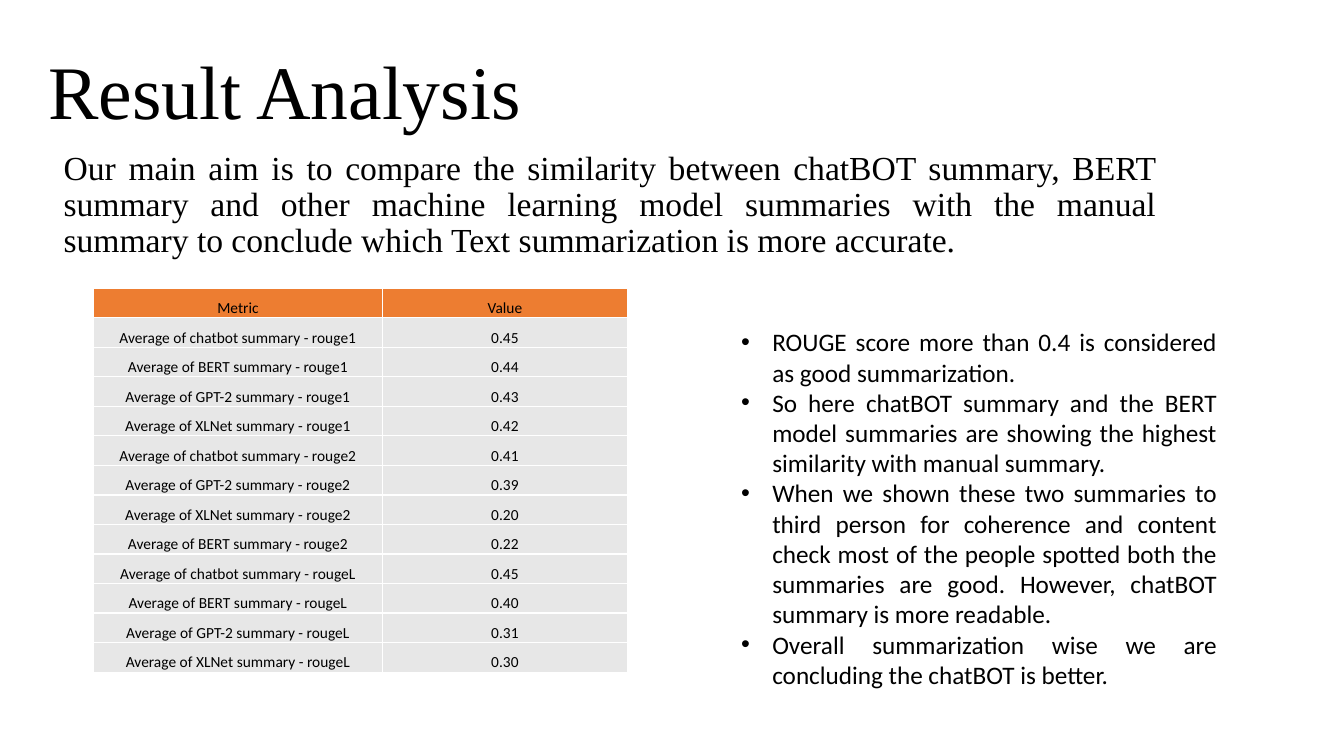
from dataclasses import dataclass

from lxml import etree
from pptx import Presentation
from pptx import util as u
from pptx.dml.color import RGBColor
from pptx.enum import text
from pptx.oxml import ns


@dataclass(frozen=True)
class Theme:
    ink: str = "000000"
    header: str = "ED7D31"
    row: str = "E7E7E7"
    border: str = "FFFFFF"
    serif: str = "Times New Roman"
    sans: str = "Calibri"
    title: int = 54
    intro: int = 24
    bullet: int = 18
    cell: int = 11


THEME = Theme()
WIDTH, HEIGHT = u.Inches(13.33), u.Inches(7.5)
LEFT, CENTER, JUSTIFY = (
    text.PP_ALIGN.LEFT, text.PP_ALIGN.CENTER, text.PP_ALIGN.JUSTIFY)

TITLE_AREA = (2.85, 6.53, 74.57, 20.53)
INTRO_AREA = (3.98, 19.33, 82.82, 69.6)
TABLE_AREA = (6.98, 38.13, 39.73, 50.8)
FINDINGS_AREA = (54.39, 42.53, 36.91, 53.87)
METRIC_SHARE = 0.54

INTRO = ("Our main aim is to compare the similarity between chatBOT summary, "
         "BERT summary and other machine learning model summaries with the "
         "manual summary to conclude which Text summarization is more accurate.")
FINDINGS = [
    "ROUGE score more than 0.4 is considered as good summarization.",
    "So here chatBOT summary and the BERT model summaries are showing the "
    "highest similarity with manual summary.",
    "When we shown these two summaries to third person for coherence and "
    "content check most of the people spotted both the summaries are good. "
    "However, chatBOT summary is more readable.",
    "Overall summarization wise we are concluding the chatBOT is better.",
]
SCORES = [
    ("chatbot", "rouge1", "0.45"),
    ("BERT", "rouge1", "0.44"),
    ("GPT-2", "rouge1", "0.43"),
    ("XLNet", "rouge1", "0.42"),
    ("chatbot", "rouge2", "0.41"),
    ("GPT-2", "rouge2", "0.39"),
    ("XLNet", "rouge2", "0.20"),
    ("BERT", "rouge2", "0.22"),
    ("chatbot", "rougeL", "0.45"),
    ("BERT", "rougeL", "0.40"),
    ("GPT-2", "rougeL", "0.31"),
    ("XLNet", "rougeL", "0.30"),
]


def area(x, y, w, h):
    return [round(share * side / 100)
            for share, side in zip((x, y, w, h), (WIDTH, HEIGHT) * 2)]


def format_paragraph(p, size, font, align):
    p.alignment = align
    for r in p.runs:
        r.font.size = u.Pt(size)
        r.font.name = font
        r.font.color.rgb = RGBColor.from_string(THEME.ink)


def set_bullet(p, char=None):
    indent = u.Inches(0.31) if char else 0
    pPr = p._p.get_or_add_pPr()
    pPr.set("marL", str(indent))
    pPr.set("indent", str(-indent))
    if char:
        etree.SubElement(pPr, ns.qn("a:buFont")).set("typeface", "Arial")
        etree.SubElement(pPr, ns.qn("a:buChar")).set("char", char)
    else:
        etree.SubElement(pPr, ns.qn("a:buNone"))


def fill_placeholder(sp, place, lines, size, font, align,
                     spacing=0.9, before=10, bullet=None):
    sp.left, sp.top, sp.width, sp.height = area(*place)
    tf = sp.text_frame
    tf.text = "\n".join(lines)
    tf.word_wrap = True
    tf.auto_size = text.MSO_AUTO_SIZE.NONE
    tf.vertical_anchor = text.MSO_ANCHOR.TOP
    for p in tf.paragraphs:
        p.line_spacing = spacing
        p.space_before = u.Pt(before)
        format_paragraph(p, size, font, align)
        set_bullet(p, bullet)


def set_borders(cell):
    tcPr = cell._tc.get_or_add_tcPr()
    for index, side in enumerate(("lnL", "lnR", "lnT", "lnB")):
        ln = etree.Element(ns.qn(f"a:{side}"), w=str(u.Pt(1)))
        fill = etree.SubElement(ln, ns.qn("a:solidFill"))
        etree.SubElement(fill, ns.qn("a:srgbClr")).set("val", THEME.border)
        tcPr.insert(index, ln)


def format_cell(cell, value, color):
    cell.text = value
    cell.vertical_anchor = text.MSO_ANCHOR.BOTTOM
    cell.margin_left = cell.margin_right = cell.margin_top = u.Inches(0.01)
    cell.margin_bottom = 0
    cell.fill.solid()
    cell.fill.fore_color.rgb = RGBColor.from_string(color)
    format_paragraph(cell.text_frame.paragraphs[0],
                     THEME.cell, THEME.sans, CENTER)
    set_borders(cell)


def add_score_table(s, place):
    rows = [("Metric", "Value")] + [
        (f"Average of {model} summary - {metric}", score)
        for model, metric, score in SCORES]
    x, y, w, h = area(*place)
    table = s.shapes.add_table(len(rows), 2, x, y, w, h).table
    table.columns[0].width = round(w * METRIC_SHARE)
    table.columns[1].width = w - table.columns[0].width
    for i, row in enumerate(rows):
        for j, value in enumerate(row):
            format_cell(table.cell(i, j), value,
                        THEME.row if i else THEME.header)


def main():
    prs = Presentation()
    prs.slide_width, prs.slide_height = WIDTH, HEIGHT
    s = prs.slides.add_slide(prs.slide_layouts.get_by_name("Two Content"))
    title, intro, findings = s.placeholders
    fill_placeholder(title, TITLE_AREA, ["Result Analysis"],
                     THEME.title, THEME.serif, LEFT)
    fill_placeholder(intro, INTRO_AREA, [INTRO],
                     THEME.intro, THEME.serif, JUSTIFY)
    add_score_table(s, TABLE_AREA)
    fill_placeholder(findings, FINDINGS_AREA, FINDINGS,
                     THEME.bullet, THEME.sans, JUSTIFY,
                     spacing=1.0, before=0, bullet="•")
    prs.save("out.pptx")


if __name__ == "__main__":
    main()
